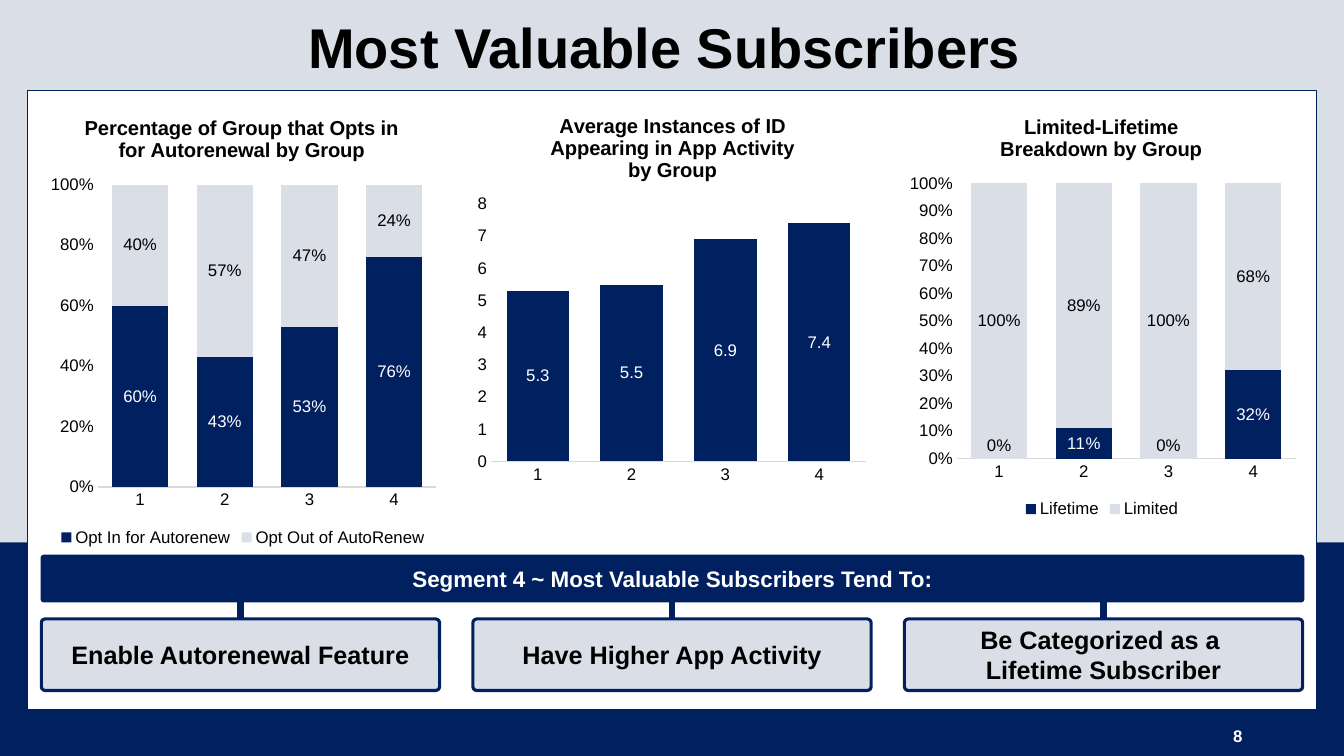
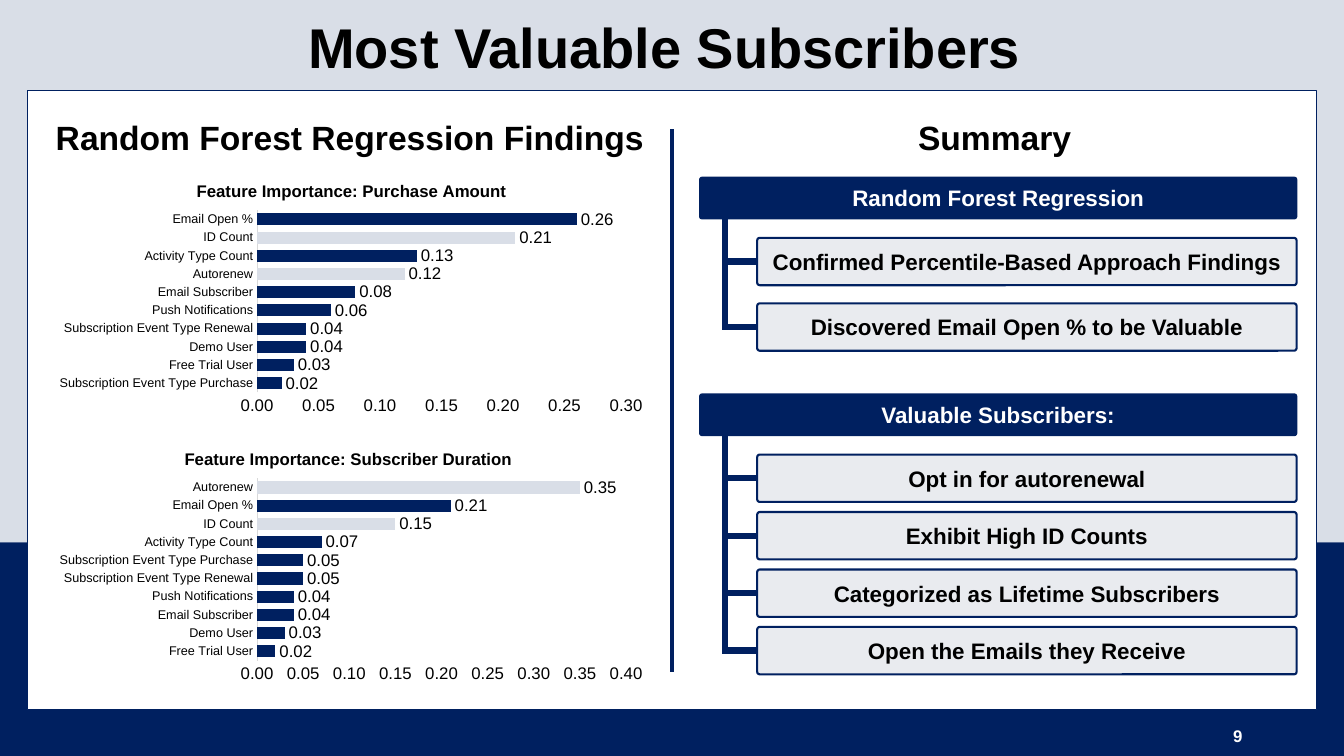
from lxml.etree import SubElement
from pptx import Presentation
from pptx.chart.data import CategoryChartData as Data
from pptx.dml.color import RGBColor as RGB
from pptx.enum.chart import XL_CHART_TYPE as Kind
from pptx.enum.chart import XL_LABEL_POSITION as Pos
from pptx.enum.chart import XL_LEGEND_POSITION as Side
from pptx.enum.chart import XL_TICK_MARK as Tick
from pptx.enum.shapes import MSO_CONNECTOR as Link
from pptx.enum.shapes import MSO_SHAPE as Form
from pptx.enum.text import MSO_ANCHOR as Anchor
from pptx.enum.text import PP_ALIGN as Align
from pptx.oxml.ns import qn
from pptx.util import Inches, Pt

NAVY = RGB(0x00, 0x20, 0x60)
PALE = RGB(0xD9, 0xDE, 0xE7)
MIST = RGB(0xE9, 0xEB, 0xEF)
GRAY = RGB(0xD9, 0xD9, 0xD9)
WHITE = RGB(0xFF, 0xFF, 0xFF)
BLACK = RGB(0x00, 0x00, 0x00)

WIDE, HIGH = 13.33, 7.5
EDGE = 0.27                      # panel margin
PANEL = WIDE - 2 * EDGE
MID = WIDE / 2
LEFT = 0.41                      # first content column
SPLIT = 5.38                     # where the dark band starts

# name: form, fill, line width, text size, text colour, alignment, anchor
LOOKS = {
    "sky": (Form.RECTANGLE, PALE, 0, 12, BLACK, Align.CENTER, Anchor.MIDDLE),
    "base": (Form.RECTANGLE, NAVY, 0, 12, WHITE, Align.CENTER, Anchor.MIDDLE),
    "panel": (Form.RECTANGLE, WHITE, 0.75, 12, BLACK, Align.CENTER, Anchor.MIDDLE),
    "page": (None, None, 0, 12, WHITE, Align.RIGHT, Anchor.MIDDLE),
    "title": (None, None, 0, 40, BLACK, Align.CENTER, Anchor.TOP),
    "head": (None, None, 0, 24, BLACK, Align.CENTER, Anchor.TOP),
    "bar": (Form.ROUNDED_RECTANGLE, NAVY, 1, 16, WHITE, Align.CENTER, Anchor.MIDDLE),
    "card": (Form.ROUNDED_RECTANGLE, PALE, 2.25, 18, BLACK, Align.CENTER, Anchor.MIDDLE),
    "item": (Form.ROUNDED_RECTANGLE, MIST, 1.5, 16, BLACK, Align.CENTER, Anchor.MIDDLE),
}


def write(font, size, ink=BLACK, bold=False):
    for key, val in {"name": "Arial", "size": Pt(size), "bold": bold}.items():
        setattr(font, key, val)
    font.color.rgb = ink


def place(node, index, **shares):
    """Fix a chart part at shares of the chart's size."""
    for old in node.findall(qn("c:layout")):
        node.remove(old)
    layout = SubElement(node, qn("c:layout"))
    node.insert(index, layout)
    manual = SubElement(layout, qn("c:manualLayout"))
    if "w" in shares:
        SubElement(manual, qn("c:layoutTarget")).set("val", "inner")
    for side in "xy":
        SubElement(manual, qn(f"c:{side}Mode")).set("val", "edge")
    for side, share in shares.items():
        SubElement(manual, qn(f"c:{side}")).set("val", str(share))


# Slide 8: three charts above a banner with three cards
CARDS = ["Enable Autorenewal Feature", "Have Higher App Activity",
         "Be Categorized as a \nLifetime Subscriber"]
STEP, CARD = 4.28, 3.95
boxes8 = [("bar", (LEFT, 5.51, 12.52, 0.46),
           "Segment 4 ~ Most Valuable Subscribers Tend To:")]
lines8 = []
for col, text in enumerate(CARDS):
    x = LEFT + col * STEP
    boxes8.append(("card", (x, 6.14, CARD, 0.71), text))
    lines8.append((x + CARD / 2, 5.94, x + CARD / 2, 6.14, 4.5))

GROUPS = ["1", "2", "3", "4"]
COLUMN = dict(cats=GROUPS, size=14.4, tick=12, pos=Pos.CENTER, overlap=100,
              fmt="0%", axis="0%", top=1, inks=(WHITE, BLACK),
              marks=(), zeros=())
charts8 = [
    COLUMN | dict(
        kind=Kind.COLUMN_STACKED_100, at=(LEFT, 0.98, 4, 4.48), step=0.2,
        title="Percentage of Group that Opts in\nfor Autorenewal by Group",
        spot=(0.1, 0.03), plot=(0.14, 0.19, 0.84, 0.67),
        rows={"Opt In for Autorenew": (0.6, 0.43, 0.53, 0.76),
              "Opt Out of AutoRenew": (0.4, 0.57, 0.47, 0.24)}),
    COLUMN | dict(
        kind=Kind.COLUMN_CLUSTERED, at=(LEFT + 4.26, 0.98, 4, 3.87), step=1,
        title="Average Instances of ID\nAppearing in App Activity\nby Group",
        spot=(0.19, 0.03), plot=(0.05, 0.27, 0.93, 0.66),
        rows={"Series 1": (5.3, 5.5, 6.9, 7.4)},
        overlap=-27, fmt="0.0", axis="0", top=8),
    COLUMN | dict(
        kind=Kind.COLUMN_STACKED, at=(LEFT + 2 * 4.26, 0.98, 4, 4.2), step=0.1,
        title="Limited-Lifetime\nBreakdown by Group",
        spot=(0.24, 0.03), plot=(0.14, 0.2, 0.84, 0.65),
        rows={"Lifetime": (0, 0.11, 0, 0.32), "Limited": (1, 0.89, 1, 0.68)},
        zeros=(0, 2)),
]

# Slide 9: two bar charts on the left, two trees on the right
TREES = [
    (1.76, 0.65, "Random Forest Regression",
     ["Confirmed Percentile-Based Approach Findings",
      "Discovered Email Open % to be Valuable"]),
    (3.91, 0.57, "Valuable Subscribers:",
     ["Opt in for autorenewal", "Exhibit High ID Counts",
      "Categorized as Lifetime Subscribers", "Open the Emails they Receive"]),
]
TRUNK, TWIG, ROW = 7.19, 7.51, 0.47
boxes9 = [("head", (EDGE, 1.11, 6.4, 0.5), "Random Forest Regression Findings"),
          ("head", (MID, 1.11, 6.4, 0.5), "Summary")]
lines9 = [(MID, 1.28, MID, 6.67, 2.25)]
for top, step, head, items in TREES:
    boxes9.append(("bar", (6.94, top, 5.92, 0.41), head))
    for row, text in enumerate(items):
        y = top + 0.6 + row * step
        boxes9.append(("item", (TWIG, y, 5.35, ROW), text))
        lines9.append((TRUNK, y + ROW / 2, TWIG, y + ROW / 2, 4.5))
    lines9.append((TRUNK, top + 0.2, TRUNK, y + ROW / 2 + 0.03, 4.5))

BAR = dict(kind=Kind.BAR_CLUSTERED, size=12, tick=9, pos=Pos.OUTSIDE_END,
           overlap=0, fmt="0.00", axis="0.00", step=0.05, inks=(BLACK,),
           plot=(0.345, 0.17, 0.61, 0.72), zeros=())
charts9 = [
    BAR | dict(
        at=(0.48, 1.66, 6, 2.51), top=0.3, marks=(6, 8), spot=(0.24, 0.04),
        title="Feature Importance: Purchase Amount",
        cats=["Subscription Event Type Purchase", "Free Trial User", "Demo User",
              "Subscription Event Type Renewal", "Push Notifications",
              "Email Subscriber", "Autorenew", "Activity Type Count",
              "ID Count", "Email Open %"],
        rows={"Series 1": (0.02, 0.03, 0.04, 0.04, 0.06,
                           0.08, 0.12, 0.13, 0.21, 0.26)}),
    BAR | dict(
        at=(0.48, 4.32, 6, 2.51), top=0.4, marks=(7, 9), spot=(0.22, 0.04),
        title="Feature Importance: Subscriber Duration",
        cats=["Free Trial User", "Demo User", "Email Subscriber",
              "Push Notifications", "Subscription Event Type Renewal",
              "Subscription Event Type Purchase", "Activity Type Count",
              "ID Count", "Email Open %", "Autorenew"],
        rows={"Series 1": (0.02, 0.03, 0.04, 0.04, 0.05,
                           0.05, 0.07, 0.15, 0.21, 0.35)}),
]

deck = Presentation()
deck.slide_width, deck.slide_height = Inches(WIDE), Inches(HIGH)

for page, boxes, lines, charts in [("8", boxes8, lines8, charts8),
                                   ("9", boxes9, lines9, charts9)]:
    shapes = deck.slides.add_slide(deck.slide_layouts[6]).shapes
    frame = [
        ("sky", (0, 0, WIDE, SPLIT), ""),
        ("base", (0, SPLIT, WIDE, HIGH - SPLIT), ""),
        ("panel", (EDGE, 0.9, PANEL, 6.14), ""),
        ("page", (9.42, 7.1, 3, 0.4), page),
        ("title", (EDGE, 0.08, PANEL, 0.77), "Most Valuable Subscribers "),
    ]
    for look, at, text in frame + boxes:
        form, fill, width, size, ink, align, anchor = LOOKS[look]
        at = [Inches(n) for n in at]
        if form is None:
            shape = shapes.add_textbox(*at)
        else:
            shape = shapes.add_shape(form, *at)
            shape.shadow.inherit = False
            shape.fill.solid()
            shape.fill.fore_color.rgb = fill
            if width:
                shape.line.color.rgb = NAVY
                shape.line.width = Pt(width)
            else:
                shape.line.fill.background()
            if form == Form.ROUNDED_RECTANGLE:
                shape.adjustments[0] = 0.054
        if text:
            body = shape.text_frame
            body.word_wrap, body.vertical_anchor = True, anchor
            body.text = text
            for para in body.paragraphs:
                para.alignment = align
                write(para.runs[0].font, size, ink, True)

    for *ends, width in lines:
        line = shapes.add_connector(Link.STRAIGHT, *[Inches(n) for n in ends])
        line.line.color.rgb = NAVY
        line.line.width = Pt(width)
        SubElement(line._element.spPr, qn("a:effectLst"))

    for item in charts:
        data = Data(number_format=item["fmt"])
        data.categories = item["cats"]
        for name, vals in item["rows"].items():
            data.add_series(name, vals)
        at = [Inches(n) for n in item["at"]]
        chart = shapes.add_chart(item["kind"], *at, data).chart
        write(chart.font, 12)

        chart.has_title = True
        title = chart.chart_title
        title.text_frame.text = item["title"]
        for para in title.text_frame.paragraphs:
            write(para.runs[0].font, item["size"], bold=True)
        place(title._element, 1, **dict(zip("xy", item["spot"])))
        area = chart._chartSpace.find(".//" + qn("c:plotArea"))
        place(area, 0, **dict(zip("xywh", item["plot"])))

        chart.has_legend = len(item["rows"]) > 1
        if chart.has_legend:
            chart.legend.position = Side.BOTTOM
            chart.legend.include_in_layout = False
            write(chart.legend.font, 12)

        cat, val = chart.category_axis, chart.value_axis
        for axis, size in (cat, item["tick"]), (val, 12):
            axis.has_major_gridlines = False
            axis.major_tick_mark = axis.minor_tick_mark = Tick.NONE
            write(axis.tick_labels.font, size)
        cat.format.line.color.rgb = GRAY
        cat.format.line.width = Pt(0.75)
        val.format.line.fill.background()
        for key, n in {"minimum_scale": 0, "maximum_scale": item["top"],
                       "major_unit": item["step"]}.items():
            setattr(val, key, n)
        val.tick_labels.number_format = item["axis"]
        val.tick_labels.number_format_is_linked = False

        plot = chart.plots[0]
        plot.gap_width, plot.overlap = 50, item["overlap"]
        plot.vary_by_categories = False
        for row, fill, ink in zip(plot.series, (NAVY, PALE), item["inks"]):
            row.format.fill.solid()
            row.format.fill.fore_color.rgb = fill
            row.invert_if_negative = False
            tags = row.data_labels
            tags.show_value, tags.position = True, item["pos"]
            tags.number_format = item["fmt"]
            tags.number_format_is_linked = False
            write(tags.font, 12, ink)
        points = plot.series[0].points
        for spot in item["marks"]:
            points[spot].format.fill.solid()
            points[spot].format.fill.fore_color.rgb = PALE
        # Labels of empty columns stand on the axis, clear of its numbers
        for spot in item["zeros"]:
            tag = points[spot].data_label
            write(tag.font, 12)
            tag.position = Pos.INSIDE_BASE

deck.save("out.pptx")
